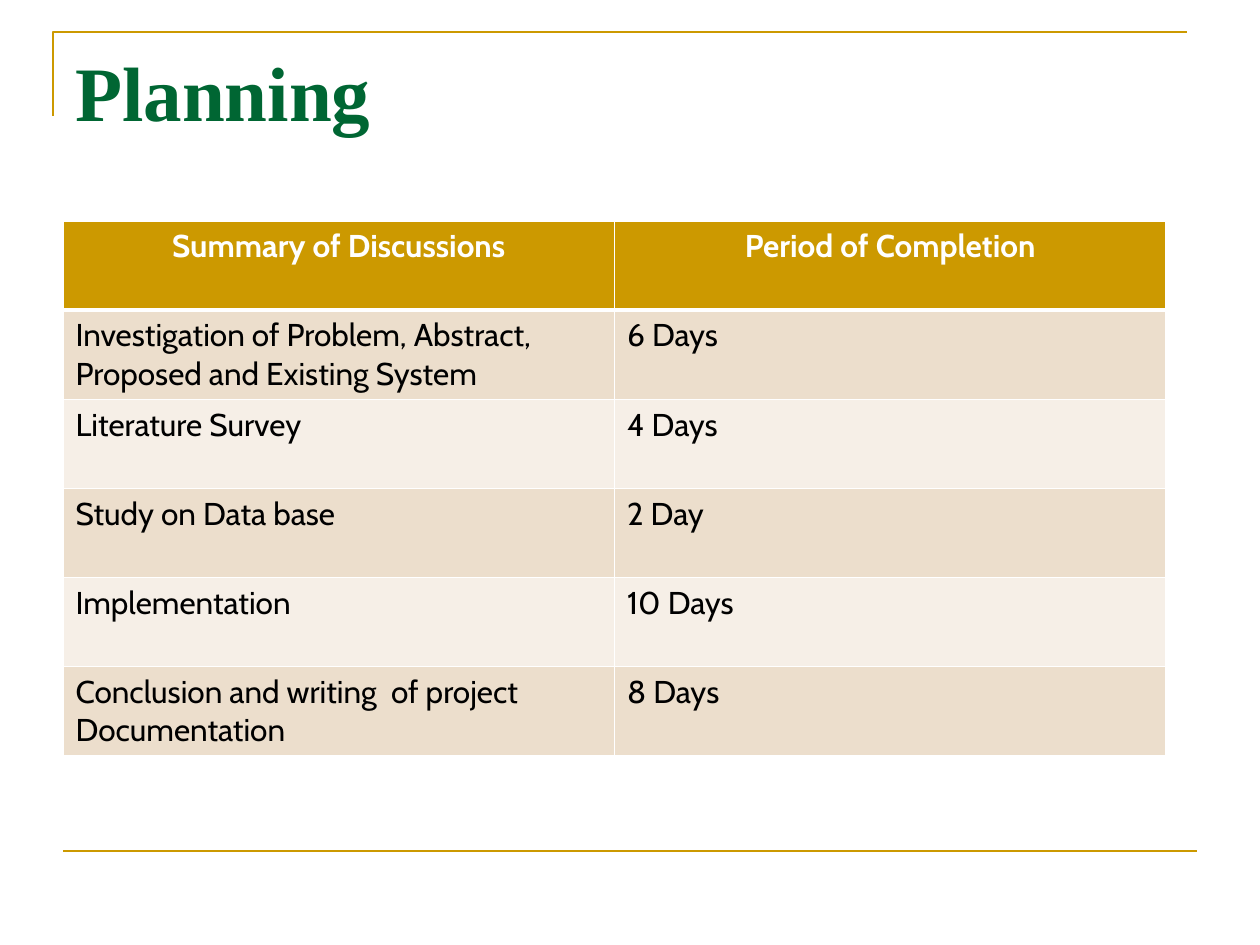
from lxml import etree
from pptx import Presentation
from pptx.dml.color import RGBColor
from pptx.enum.shapes import MSO_CONNECTOR
from pptx.enum.text import MSO_ANCHOR, PP_ALIGN
from pptx.oxml.ns import qn
from pptx.util import Pt

STRAIGHT = MSO_CONNECTOR.STRAIGHT
TOP = MSO_ANCHOR.TOP
CENTER, LEFT = PP_ALIGN.CENTER, PP_ALIGN.LEFT

TITLE = "Planning"
ROWS = [
    ("Summary of Discussions", "Period of Completion"),
    ("Investigation of Problem, Abstract, Proposed and Existing System", "6 Days"),
    ("Literature Survey", "4 Days"),
    ("Study on Data base", "2 Day"),
    ("Implementation", "10 Days"),
    ("Conclusion and writing  of project Documentation", "8 Days"),
]
COLORS = {
    "gold": "CC9900",
    "green": "006633",
    "white": "FFFFFF",
    "black": "000000",
    "dark band": "ECDECC",
    "light band": "F6EFE7",
}
SCALE = 914400 / 126
CORNER = [(53, 116), (53, 32), (1187, 32)]
FOOTER_LINE = (63, 851, 1197, 851)
TITLE_BOX = (63, 38, 1134, 157)
TABLE_BOX = (63, 221, 1103, 535)


def emu(*lengths):
    return [round(length * SCALE) for length in lengths]


def color(name):
    return RGBColor.from_string(COLORS[name])


def style_line(shape):
    shape.line.color.rgb = color("gold")
    shape.line.width = Pt(1.5)


def write(frame, text, font, size, fill, bold, align=LEFT):
    para = frame.paragraphs[0]
    para.text = text
    para.alignment = align
    para.font.name = font
    para.font.size = Pt(size)
    para.font.bold = bold
    para.font.color.rgb = color(fill)


def add_borders(cell, bottom, top):
    properties = cell._tc.get_or_add_tcPr()
    for side, width in (("L", 1), ("R", 1), ("T", top), ("B", bottom)):
        border = etree.SubElement(properties, qn(f"a:ln{side}"), w=str(Pt(width)))
        solid = etree.SubElement(border, qn("a:solidFill"))
        etree.SubElement(solid, qn("a:srgbClr"), val=COLORS["white"])


def add_frame_lines(page):
    builder = page.shapes.build_freeform(*CORNER[0], scale=SCALE)
    builder.add_line_segments(CORNER[1:], close=False)
    corner = builder.convert_to_shape()
    corner.fill.background()
    corner.shadow.inherit = False
    style_line(corner)
    footer = page.shapes.add_connector(STRAIGHT, *emu(*FOOTER_LINE))
    style_line(footer)
    etree.SubElement(footer._element.spPr, qn("a:effectLst"))


def add_title(page):
    box = page.shapes.add_textbox(*emu(*TITLE_BOX))
    box.text_frame.word_wrap = True
    box.text_frame.vertical_anchor = TOP
    write(box.text_frame, TITLE, "Times New Roman", 44, "green", True)


def add_plan(page):
    table = page.shapes.add_table(len(ROWS), len(ROWS[0]), *emu(*TABLE_BOX)).table
    for r, texts in enumerate(ROWS):
        header = r == 0
        band = "gold" if header else "dark band" if r % 2 else "light band"
        for c, text in enumerate(texts):
            cell = table.cell(r, c)
            add_borders(cell, 3 if header else 1, 3 if r == 1 else 1)
            cell.fill.solid()
            cell.fill.fore_color.rgb = color(band)
            write(cell.text_frame, text, "Cabin", 18,
                  "white" if header else "black", header,
                  CENTER if header else LEFT)


def main():
    deck = Presentation()
    deck.slide_width, deck.slide_height = emu(1260, 945)
    page = deck.slides.add_slide(deck.slide_layouts[6])
    add_frame_lines(page)
    add_title(page)
    add_plan(page)
    deck.save("out.pptx")


if __name__ == "__main__":
    main()
